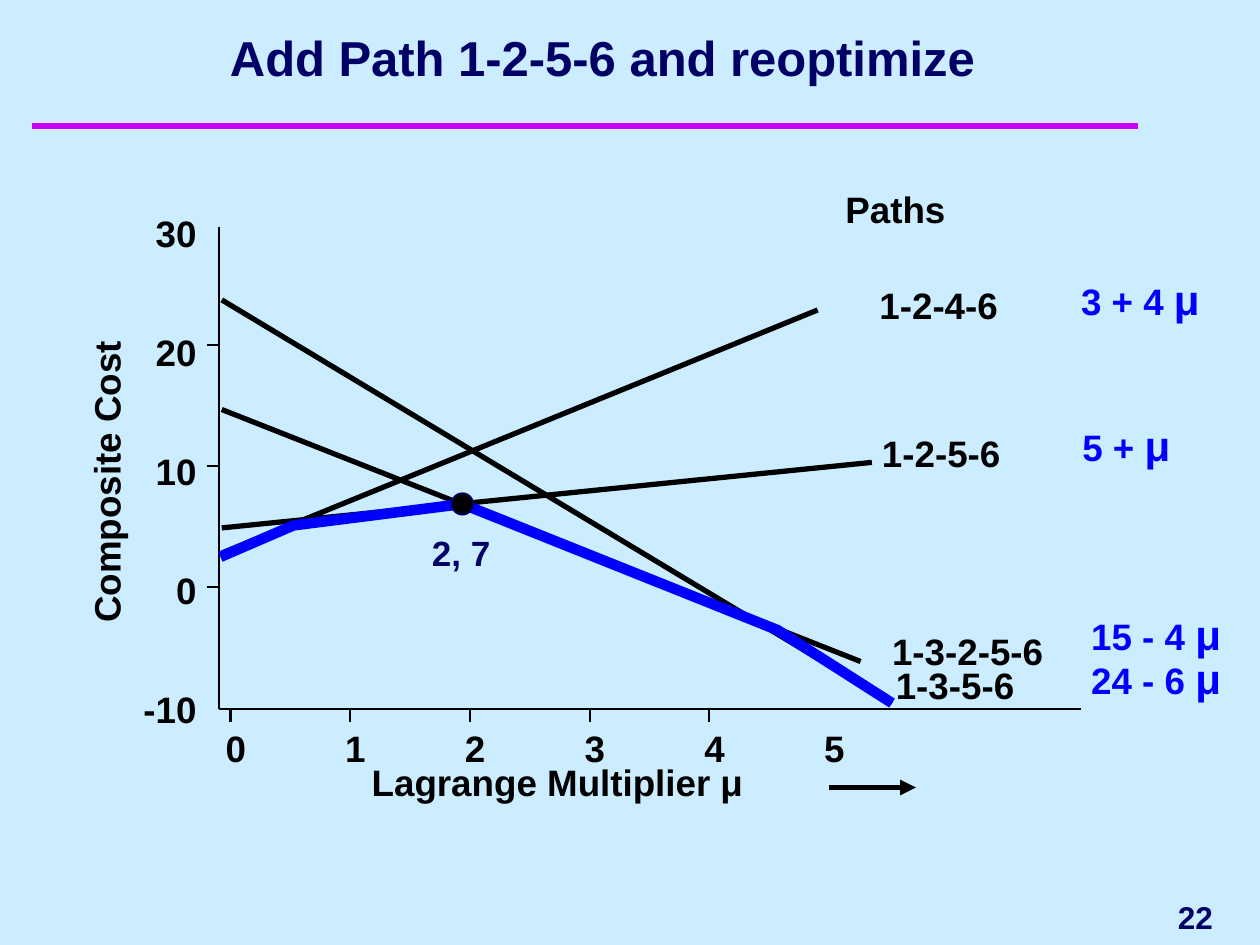
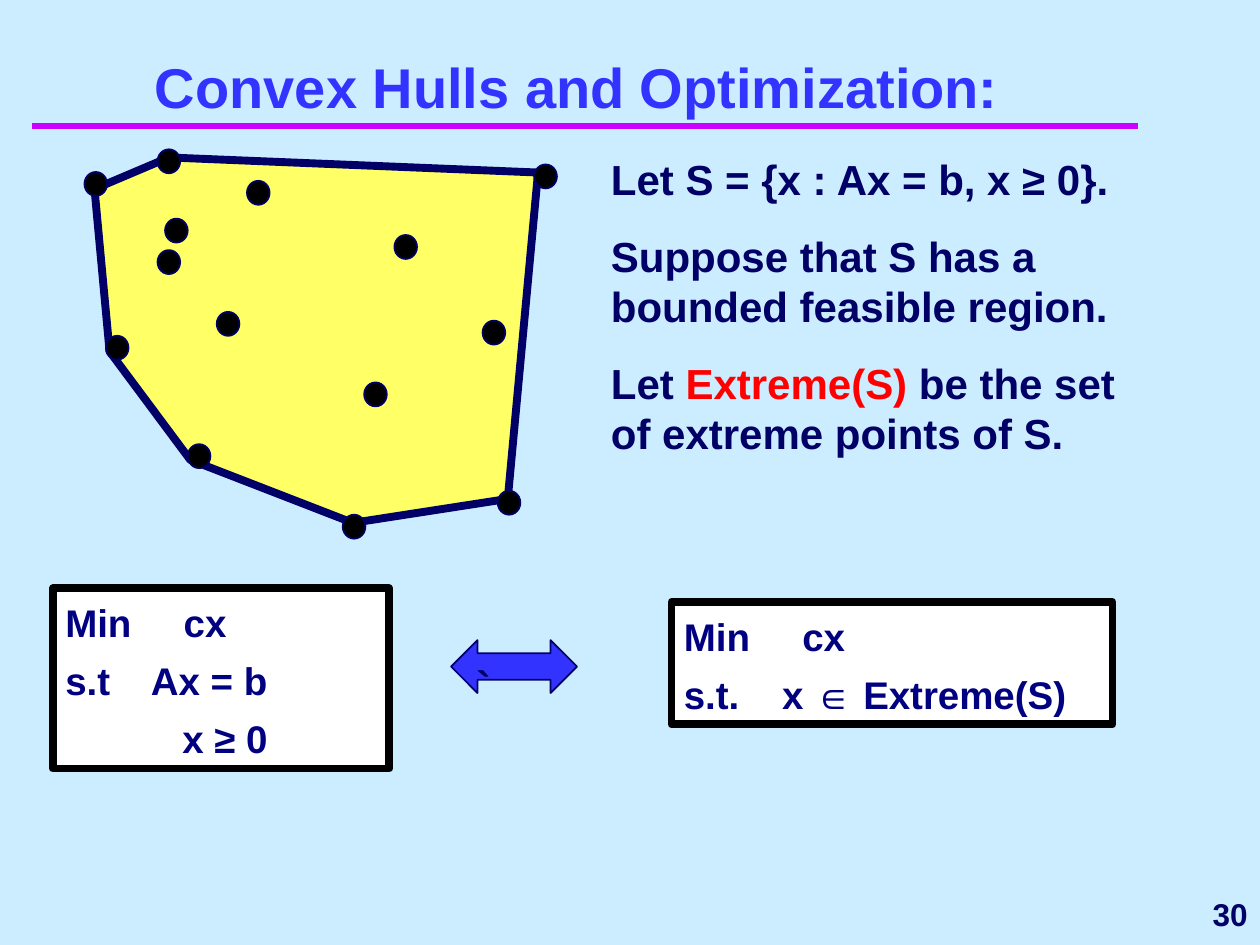
import pptx
import pptx.util
import pptx.dml.color
import pptx.enum.shapes
import pptx.enum.text
import pptx.oxml.ns
from lxml import etree

Inches = pptx.util.Inches
Pt = pptx.util.Pt
ALIGN = pptx.enum.text.PP_ALIGN
ANCHOR = pptx.enum.text.MSO_ANCHOR
SHAPE = pptx.enum.shapes.MSO_SHAPE

FONT = "Arial"
SKY = "CCECFF"
NAVY = "000066"
BLACK = "000000"
WHITE = "FFFFFF"
BLUE = "0000FF"
VIOLET = "3333FF"
MAGENTA = "CC00FF"
YELLOW = "FFFF66"
RED = "FF0000"
DARK_BLUE = "000080"
MARGINS = (0.1, 0.05)

PATH_LINES = [
    ("1-2-4-6", "3 + 4 ", (0.02, 2.59, 4.75, 0.66), (5.24, 0.44), (6.84, 0.37)),
    ("1-2-5-6", "5 + ", (0.02, 2.39, 5.18, 1.87), (5.26, 1.62), (6.85, 1.53)),
    ("1-3-2-5-6", "15 - 4 ", (0.02, 1.45, 5.09, 3.45), (5.34, 3.19), (6.92, 3.03)),
    ("1-3-5-6", "24 - 6 ", (0.02, 0.58, 5.34, 3.78), (5.37, 3.46), (6.92, 3.38)),
]
LOWER_ENVELOPE = [(0.01, 2.62), (0.59, 2.37), (1.93, 2.2), (4.43, 3.2), (5.34, 3.78)]
HULL_CORNERS = [(0, 0.25), (0.59, 0), (3.52, 0.12), (3.28, 2.71),
                (2.05, 2.9), (0.76, 2.4), (0.12, 1.54)]
FEASIBLE_POINTS = [
    (0.01, 0.21), (0.18, 1.51), (0.59, 0.03), (1.3, 0.28), (0.65, 0.58),
    (0.59, 0.83), (0.83, 2.37), (2.47, 0.71), (2.23, 1.88), (1.06, 1.32),
    (3.58, 0.15), (3.17, 1.39), (2.06, 2.93), (3.29, 2.74),
]


def color(value):
    return pptx.dml.color.RGBColor.from_string(value)


def set_font(font, size, font_color):
    font.name = FONT
    font.size = Pt(size)
    font.bold = True
    font.color.rgb = color(font_color)


def set_frame(frame, margins, anchor=ANCHOR.TOP):
    frame.word_wrap = True
    frame.vertical_anchor = anchor
    frame.margin_left = frame.margin_right = Inches(margins[0])
    frame.margin_top = frame.margin_bottom = Inches(margins[1])


def add_text(slide, text, left, top, width, height, size=21, font_color=BLACK,
             align=ALIGN.LEFT, margins=(0, 0), anchor=ANCHOR.TOP):
    box = slide.shapes.add_textbox(Inches(left), Inches(top), Inches(width), Inches(height))
    set_frame(box.text_frame, margins, anchor)
    paragraph = box.text_frame.paragraphs[0]
    paragraph.text = text
    paragraph.alignment = align
    set_font(paragraph.font, size, font_color)
    return box


def add_line(slide, start_x, start_y, end_x, end_y, width, line_color=BLACK, arrow=False):
    line = slide.shapes.add_connector(
        pptx.enum.shapes.MSO_CONNECTOR.STRAIGHT,
        Inches(start_x), Inches(start_y), Inches(end_x), Inches(end_y))
    line.line.color.rgb = color(line_color)
    line.line.width = Pt(width)
    if arrow:
        etree.SubElement(line.line._get_or_add_ln(), pptx.oxml.ns.qn("a:tailEnd"), type="triangle")
    etree.SubElement(line._element.spPr, pptx.oxml.ns.qn("a:effectLst"))


def paint(shape, fill_color, line_color, line_width):
    shape.shadow.inherit = False
    if fill_color:
        shape.fill.solid()
        shape.fill.fore_color.rgb = color(fill_color)
    else:
        shape.fill.background()
    shape.line.color.rgb = color(line_color)
    shape.line.width = Pt(line_width)


def add_preset(slide, kind, left, top, width, height, fill_color, line_color, line_width):
    shape = slide.shapes.add_shape(kind, Inches(left), Inches(top), Inches(width), Inches(height))
    paint(shape, fill_color, line_color, line_width)
    return shape


def add_dot(slide, center_x, center_y, width, height):
    add_preset(slide, SHAPE.OVAL, center_x - width / 2, center_y - height / 2,
               width, height, BLACK, NAVY, 1)


def add_outline(slide, left, top, points, closed, fill_color, line_color, line_width):
    corners = [(Inches(left + x), Inches(top + y)) for x, y in points]
    builder = slide.shapes.build_freeform(*corners[0])
    builder.add_line_segments(corners[1:], close=closed)
    paint(builder.convert_to_shape(), fill_color, line_color, line_width)


def add_base(presentation):
    slide = presentation.slides.add_slide(presentation.slide_layouts[6])
    slide.background.fill.solid()
    slide.background.fill.fore_color.rgb = color(SKY)
    add_line(slide, 0.25, 1, 9.03, 1, 4, MAGENTA)
    return slide


def add_title(slide, text, left, top, width, height, size, font_color, anchor):
    add_text(slide, text, left, top, width, height, size, font_color,
             ALIGN.CENTER, MARGINS, anchor)


def add_page_number(slide, number, left, top, width, height, align):
    add_text(slide, number, left, top, width, height, 18, NAVY, align, MARGINS, ANCHOR.MIDDLE)


def add_axes(slide, left, top, width, height):
    bottom = top + height
    add_line(slide, left, top, left, bottom, 1.25)
    add_line(slide, left, bottom, left + width, bottom, 1.25)
    for index in range(5):
        tick_x = left + 0.09 + 0.95 * index
        add_line(slide, tick_x, bottom + 0.1, tick_x, bottom, 1.25)
    for index in range(3):
        tick_y = top + 0.94 + 0.96 * index
        add_line(slide, left - 0.1, tick_y, left, tick_y, 1.25)
    for index in range(6):
        add_text(slide, str(index), left + 0.05 + 0.95 * index, bottom + 0.13, 0.3, 0.35)
    for index, value in enumerate(range(30, -20, -10)):
        add_text(slide, str(value), left - 0.78, top - 0.13 + 0.945 * index, 0.6, 0.35,
                 align=ALIGN.RIGHT)
    add_text(slide, "Lagrange Multiplier μ", left + 1.21, bottom + 0.4, 3.2, 0.35)
    add_line(slide, left + 4.84, bottom + 0.62, left + 5.53, bottom + 0.62, 3, arrow=True)
    cost_title = add_text(slide, "Composite Cost", left - 2.15, top + 1.85, 2.5, 0.35,
                          align=ALIGN.CENTER)
    cost_title.rotation = 270


def add_path_lines(slide, left, top):
    add_text(slide, "Paths", left + 4.97, top - 0.32, 1, 0.35)
    for name, cost, (start_x, start_y, end_x, end_y), name_at, cost_at in PATH_LINES:
        add_line(slide, left + start_x, top + start_y, left + end_x, top + end_y, 3)
        add_text(slide, name, left + name_at[0], top + name_at[1], 1.4, 0.35)
        cost_box = add_text(slide, cost, left + cost_at[0], top + cost_at[1], 1.2, 0.4,
                            font_color=BLUE)
        multiplier = cost_box.text_frame.paragraphs[0].add_run()
        multiplier.text = "μ"
        multiplier.font.size = Pt(24)
    add_outline(slide, left, top, LOWER_ENVELOPE, False, None, BLUE, 6)
    best_x, best_y = LOWER_ENVELOPE[2]
    add_text(slide, "2, 7", left + best_x - 0.34, top + best_y + 0.17, 1.25, 0.44,
             20, NAVY, margins=MARGINS)
    add_dot(slide, left + best_x, top + best_y, 0.17, 0.17)


def add_hull(slide, left, top):
    add_outline(slide, left, top, HULL_CORNERS, True, YELLOW, NAVY, 4.5)
    for x, y in FEASIBLE_POINTS:
        add_dot(slide, left + x, top + y, 0.18, 0.19)


def add_definitions(slide, left, top, width, height):
    box = add_text(slide, "Let S = {x : Ax = b, x ≥ 0}.", left, top, width, height,
                   24, NAVY, margins=MARGINS)
    for pieces in (["Suppose that S has a bounded feasible region."],
                   ["Let ", "Extreme(S)", " be the set of extreme points of S."]):
        paragraph = box.text_frame.add_paragraph()
        paragraph.space_before = Pt(15)
        set_font(paragraph.font, 24, NAVY)
        for piece in pieces:
            run = paragraph.add_run()
            run.text = piece
            if piece == "Extreme(S)":
                run.font.color.rgb = color(RED)


def add_program(slide, left, top, width, height, rows):
    shape = add_preset(slide, SHAPE.RECTANGLE, left, top, width, height, WHITE, BLACK, 4.5)
    frame = shape.text_frame
    set_frame(frame, MARGINS)
    for index, (text, tab) in enumerate(rows):
        paragraph = frame.add_paragraph() if index else frame.paragraphs[0]
        paragraph.text = text
        paragraph.alignment = ALIGN.LEFT
        paragraph.line_spacing = 1.1
        if index:
            paragraph.space_before = Pt(4.1)
        tabs = etree.SubElement(paragraph._p.get_or_add_pPr(), pptx.oxml.ns.qn("a:tabLst"))
        etree.SubElement(tabs, pptx.oxml.ns.qn("a:tab"), pos=str(Inches(tab)), algn="l")
        set_font(paragraph.font, 22, DARK_BLUE)


def add_equivalence_arrow(slide, left, top, width, height):
    arrow = add_preset(slide, SHAPE.LEFT_RIGHT_ARROW, left, top, width, height, VIOLET, NAVY, 1)
    set_frame(arrow.text_frame, MARGINS)
    paragraph = arrow.text_frame.paragraphs[0]
    paragraph.text = "`"
    paragraph.alignment = ALIGN.LEFT
    set_font(paragraph.font, 24, NAVY)


def build_reoptimize_slide(presentation):
    slide = add_base(presentation)
    add_title(slide, "Add Path 1-2-5-6 and reoptimize ", 0.75, 0.17, 8.17, 0.57,
              28, NAVY, ANCHOR.TOP)
    add_axes(slide, 1.74, 1.8, 6.84, 3.83)
    add_path_lines(slide, 1.74, 1.8)
    add_page_number(slide, "22", 9.25, 7.08, 0.67, 0.4, ALIGN.LEFT)


def build_convex_hull_slide(presentation):
    slide = add_base(presentation)
    add_title(slide, "Convex Hulls and Optimization:", 0.33, 0, 8.5, 1,
              32, VIOLET, ANCHOR.BOTTOM)
    add_hull(slide, 0.75, 1.25)
    add_definitions(slide, 4.75, 1.17, 4.58, 2.52)
    add_program(slide, 0.42, 4.67, 2.67, 1.43,
                [("Min\tcx", 0.94), ("s.t\tAx = b", 0.68), ("\tx ≥ 0", 0.93)])
    add_equivalence_arrow(slide, 3.58, 5.08, 1, 0.42)
    add_program(slide, 5.33, 4.78, 3.5, 0.97,
                [("Min\tcx", 0.94), ("s.t.\tx ∈ Extreme(S)", 0.78)])
    add_page_number(slide, "30", 8.42, 7, 1.58, 0.5, ALIGN.RIGHT)


def main():
    presentation = pptx.Presentation()
    presentation.slide_width = Inches(10)
    presentation.slide_height = Inches(7.5)
    build_reoptimize_slide(presentation)
    build_convex_hull_slide(presentation)
    presentation.save("out.pptx")


if __name__ == "__main__":
    main()
